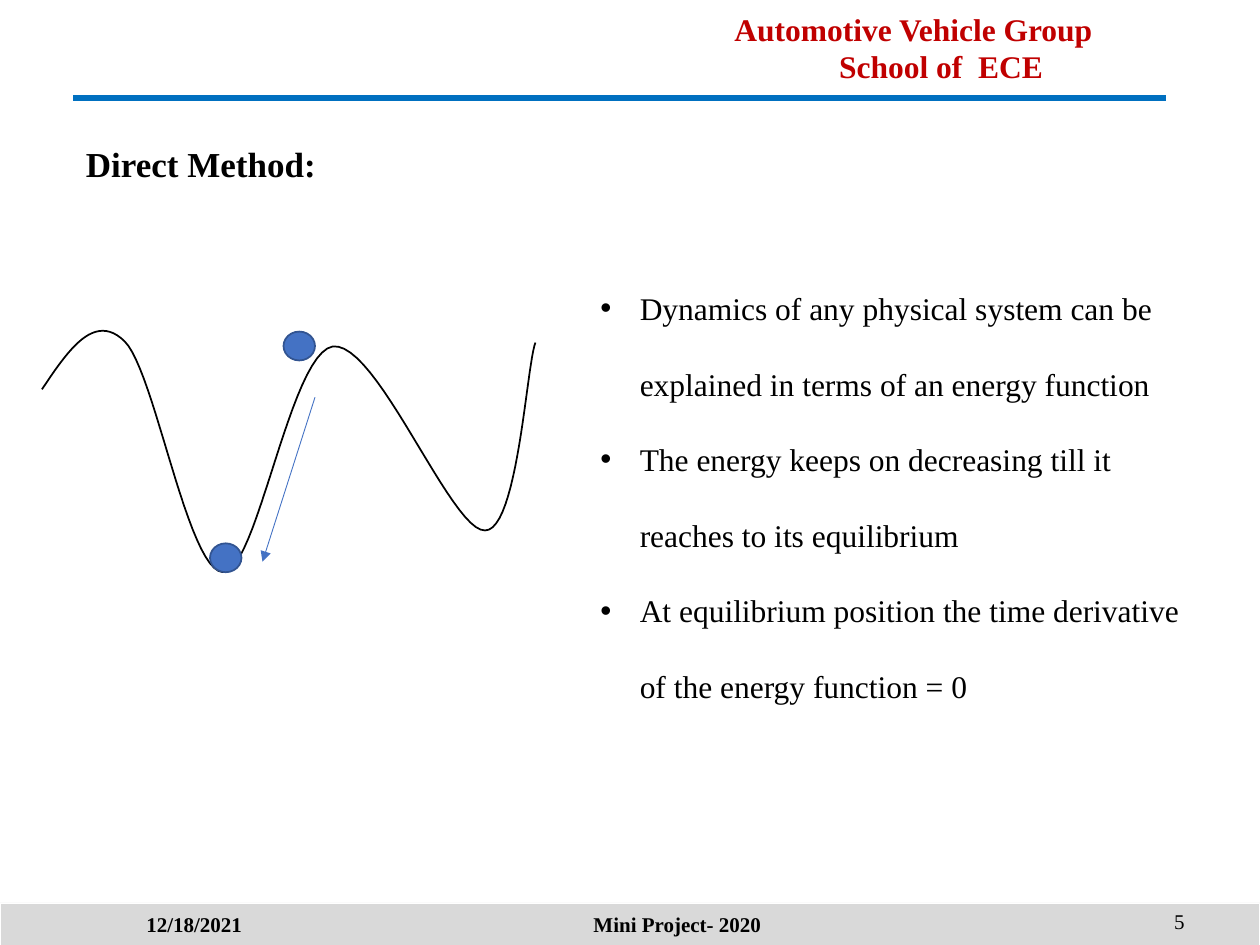
from lxml import etree
from pptx import Presentation
from pptx import util as u
from pptx.dml.color import RGBColor
from pptx.enum import shapes, text
from pptx.oxml.ns import qn

FONT = "Times New Roman"
BLACK = RGBColor(0x00, 0x00, 0x00)
WHITE = RGBColor(0xFF, 0xFF, 0xFF)
RED = RGBColor(0xC0, 0x00, 0x00)
RULE_BLUE = RGBColor(0x00, 0x70, 0xC0)
BALL_BLUE = RGBColor(0x44, 0x72, 0xC4)
BALL_EDGE = RGBColor(0x32, 0x54, 0x91)
GREY = RGBColor(0xD9, 0xD9, 0xD9)

LEFT, CENTER, RIGHT = text.PP_ALIGN.LEFT, text.PP_ALIGN.CENTER, text.PP_ALIGN.RIGHT
TOP, MIDDLE = text.MSO_ANCHOR.TOP, text.MSO_ANCHOR.MIDDLE

ENERGY_START = (24, 222.5)
ENERGY_CURVES = [
    ((39, 200), (54, 178), (71.3, 195.1)),
    ((88.6, 212.4), (107.3, 326.2), (127.4, 326.9)),
    ((146.9, 327.6), (165.6, 202.3), (190.1, 198)),
    ((215.3, 194.4), (257.8, 303.8), (277.2, 303.1)),
    ((295.9, 303.1), (301, 208.1), (306, 195.8)),
]
CURVE_STEPS = 24

POINTS = [
    "Dynamics of any physical system can be explained in terms of an energy function",
    "The energy keeps on decreasing till it reaches to its equilibrium",
    "At equilibrium position the time derivative of the energy function = 0",
]


def set_indent(paragraph, margin, first_line=0):
    properties = paragraph._p.get_or_add_pPr()
    properties.set("marL", str(u.Pt(margin)))
    properties.set("indent", str(u.Pt(first_line)))
    return properties


def add_bullet(paragraph):
    properties = set_indent(paragraph, 22.5, -22.5)
    etree.SubElement(properties, qn("a:buFont")).set("typeface", "Arial")
    etree.SubElement(properties, qn("a:buChar")).set("char", "•")


def add_text(slide, box, lines, size, color=BLACK, bold=False, align=LEFT, anchor=TOP):
    frame = slide.shapes.add_textbox(*map(u.Pt, box)).text_frame
    frame.word_wrap = True
    frame.vertical_anchor = anchor
    for index, line in enumerate(lines):
        paragraph = frame.add_paragraph() if index else frame.paragraphs[0]
        paragraph.alignment = align
        run = paragraph.add_run()
        run.text = line
        run.font.name = FONT
        run.font.size = u.Pt(size)
        run.font.bold = bold
        run.font.color.rgb = color
    return frame.paragraphs


def set_line(shape, color, width):
    shape.line.color.rgb = color
    shape.line.width = u.Pt(width)


def add_filled(slide, kind, box, fill, edge, width):
    shape = slide.shapes.add_shape(kind, *map(u.Pt, box))
    shape.shadow.inherit = False
    shape.fill.solid()
    shape.fill.fore_color.rgb = fill
    set_line(shape, edge, width)


def add_line(slide, ends, color, width, arrow=False):
    connector = slide.shapes.add_connector(
        shapes.MSO_CONNECTOR.STRAIGHT, *map(u.Pt, ends))
    set_line(connector, color, width)
    if arrow:
        outline = connector.line._get_or_add_ln()
        etree.SubElement(outline, qn("a:tailEnd")).set("type", "triangle")
    etree.SubElement(connector._element.spPr, qn("a:effectLst"))


def bezier_point(controls, t):
    weights = ((1 - t) ** 3, 3 * t * (1 - t) ** 2, 3 * t ** 2 * (1 - t), t ** 3)
    return tuple(u.Pt(sum(w * value for w, value in zip(weights, axis)))
                 for axis in zip(*controls))


def add_curve(slide, start, curves, color, width):
    vertices = []
    current = start
    for curve in curves:
        vertices += [bezier_point((current, *curve), step / CURVE_STEPS)
                     for step in range(1, CURVE_STEPS + 1)]
        current = curve[-1]
    builder = slide.shapes.build_freeform(*map(u.Pt, start))
    builder.add_line_segments(vertices, close=False)
    shape = builder.convert_to_shape()
    shape.shadow.inherit = False
    shape.fill.background()
    set_line(shape, color, width)


def add_header(slide):
    heading = add_text(slide, (372, 2, 300, 50),
                       ["Automotive Vehicle Group", "School of  ECE"],
                       18, RED, bold=True, align=CENTER)
    set_indent(heading[1], 31.5)
    add_line(slide, (42, 56, 666, 56), RULE_BLUE, 3)


def add_footer(slide):
    add_filled(slide, shapes.MSO_SHAPE.RECTANGLE, (0, 516, 720, 24), GREY, WHITE, 0.5)
    add_text(slide, (12, 513.5, 198, 29), ["12/18/2021"], 12,
             bold=True, align=CENTER, anchor=MIDDLE)
    add_text(slide, (255, 513.5, 264, 29), ["Mini Project- 2020"], 12,
             bold=True, align=CENTER, anchor=MIDDLE)
    add_text(slide, (522, 512, 162, 29), ["5"], 12, align=RIGHT, anchor=MIDDLE)


def add_energy_diagram(slide):
    add_curve(slide, ENERGY_START, ENERGY_CURVES, BLACK, 1)
    for left, top in ((162, 189.5), (120, 310.5)):
        add_filled(slide, shapes.MSO_SHAPE.OVAL, (left, top, 18, 16.5),
                   BALL_BLUE, BALL_EDGE, 1)
    add_line(slide, (180, 227, 150, 321), BALL_BLUE, 0.5, arrow=True)


def main():
    presentation = Presentation()
    presentation.slide_width, presentation.slide_height = u.Pt(720), u.Pt(540)
    slide = presentation.slides.add_slide(presentation.slide_layouts[6])
    add_header(slide)
    add_footer(slide)
    add_text(slide, (42, 78, 354, 80), ["Direct Method:"], 20, bold=True)
    add_energy_diagram(slide)
    for paragraph in add_text(slide, (336, 140, 348, 291), POINTS, 18):
        paragraph.line_spacing = 2.0
        add_bullet(paragraph)
    presentation.save("out.pptx")


if __name__ == "__main__":
    main()
